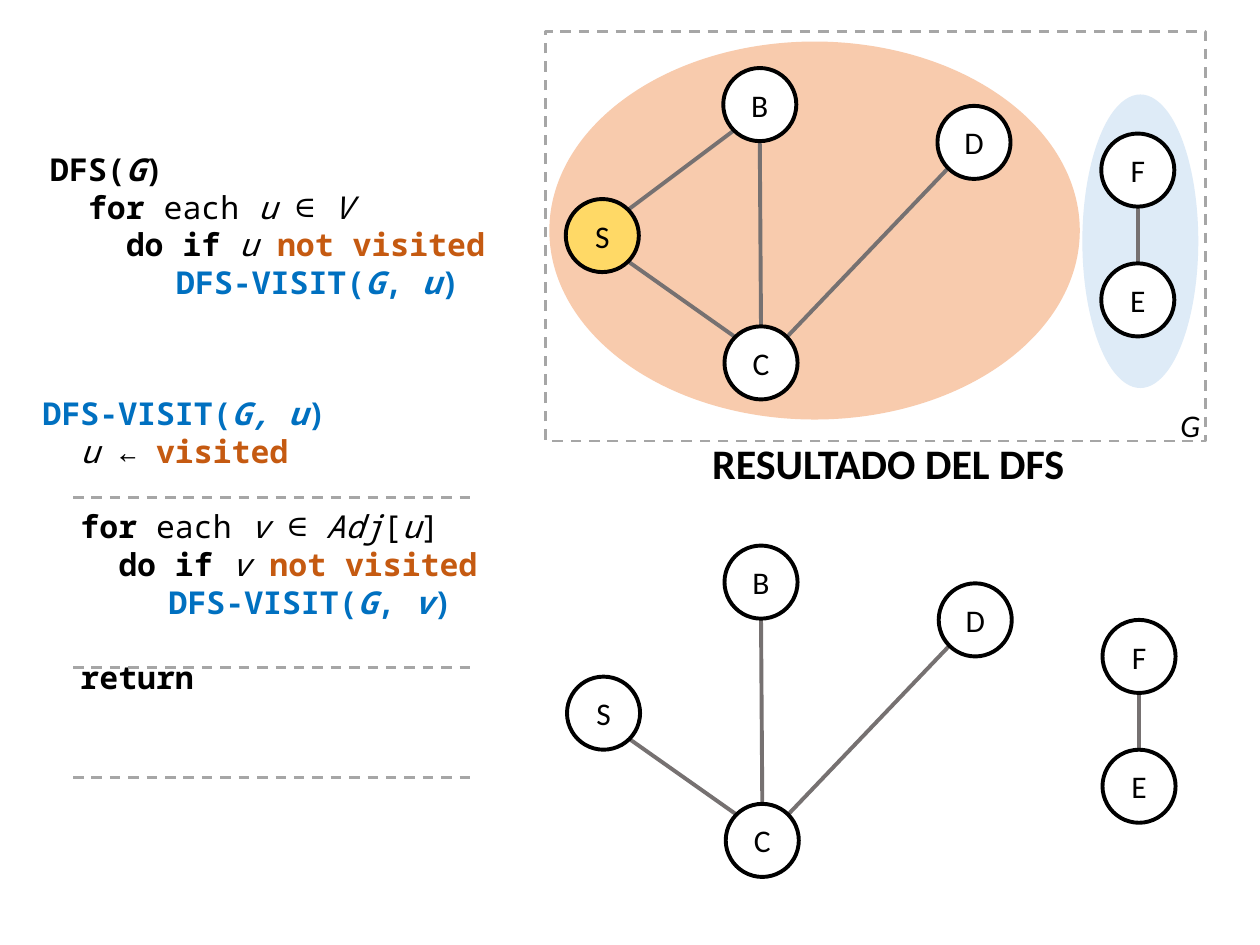
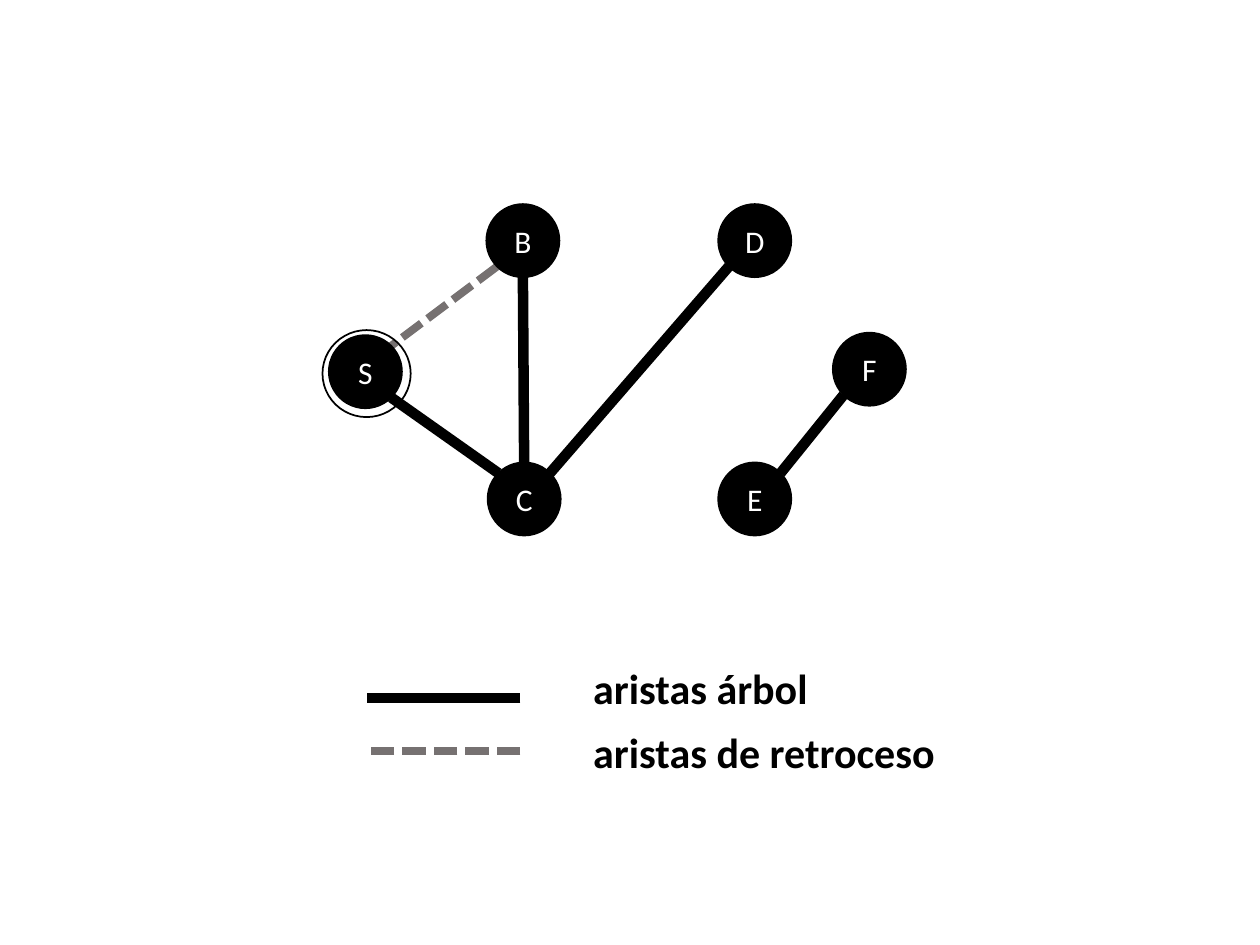
import math
from dataclasses import dataclass

from pptx import Presentation
from pptx.dml.color import RGBColor
from pptx.enum import dml, shapes, text
from pptx.oxml import ns, xmlchemy
from pptx.util import Inches, Pt


@dataclass(frozen=True)
class Theme:
    font: str = "Calibri"
    mono: str = "Noto Sans Mono"
    black: str = "000000"
    white: str = "FFFFFF"
    edge: str = "767171"
    frame: str = "A6A6A6"
    call: str = "0070C0"
    state: str = "C55A11"
    start: str = "FFD966"
    peach: str = "F8CBAD"
    sky: str = "DEEBF7"
    body: int = 18
    head: int = 24
    node: float = 0.58


T = Theme()
DASH = dml.MSO_LINE.DASH
SHORT = dml.MSO_LINE.SQUARE_DOT
OVAL = shapes.MSO_SHAPE.OVAL

# Node centres, relative to the corner of each part of the graph
MAIN = {"S": (0, 1.04), "B": (1.25, 0), "C": (1.26, 2.05), "D": (2.95, 0.3)}
PAIR = {"F": (0, 0), "E": (0, 1.03)}
TREE = ["BC", "CS", "DC"]

# Pseudocode lines: indent in inches, space before in points, then runs.
# Run styles: b bold, i italic, c call colour, s state colour
MAIN_CODE = [
    (0, 0, [("DFS(", "b"), ("G", "bi"), (")", "b")]),
    (0.3, 0, [("for ", "b"), ("each ", ""), ("u ", "i"), ("∈ ", ""), ("V", "i")]),
    (0.6, 0, [("do if ", "b"), ("u ", "i"), ("not visited", "bs")]),
    (1, 0, [("DFS-VISIT(", "bc"), ("G", "bic"), (", ", "bc"), ("u", "bic"), (")", "bc")]),
]
VISIT_CODE = [
    (0, 0, [("DFS-VISIT(", "bc"), ("G, u", "bic"), (")", "bc")]),
    (0.3, 0, [("u ", "i"), ("← ", ""), ("visited", "bs")]),
    (0.3, 21.5, [("for ", "b"), ("each ", ""), ("v ", "i"), ("∈ ", ""),
                 ("Adj", "i"), ("[", ""), ("u", "i"), ("]", "")]),
    (0.6, 0, [("do if ", "b"), ("v ", "i"), ("not visited", "bs")]),
    (1, 0, [("DFS-VISIT(", "bc"), ("G", "bic"), (", ", "bc"), ("v", "bic"), (")", "bc")]),
    (0.3, 21.5, [("return", "b")]),
]


def style(run, size, color=T.black, font=T.font, bold=False, italic=False):
    face = run.font
    face.name, face.size = font, Pt(size)
    face.bold, face.italic = bold, italic
    face.color.rgb = RGBColor.from_string(color)


def stroke(line, color, width, dash=None):
    line.color.rgb = RGBColor.from_string(color)
    line.width = Pt(width)
    if dash:
        line.dash_style = dash


def link(slide, start, end, color, width, dash=None):
    line = slide.shapes.add_connector(
        shapes.MSO_CONNECTOR.STRAIGHT, *map(Inches, (*start, *end)))
    stroke(line.line, color, width, dash)
    line._element.spPr.append(xmlchemy.OxmlElement("a:effectLst"))


def draw(slide, kind, box, fill=None, line=None):
    shape = slide.shapes.add_shape(kind, *map(Inches, box))
    shape.shadow.inherit = False
    if fill:
        shape.fill.solid()
        shape.fill.fore_color.rgb = RGBColor.from_string(fill)
    else:
        shape.fill.background()
    if line:
        stroke(shape.line, *line)
    else:
        shape.line.fill.background()
    return shape


def label(slide, box, words, size, **look):
    frame = slide.shapes.add_textbox(*map(Inches, box)).text_frame
    frame.word_wrap = True
    frame.text = words
    style(frame.paragraphs[0].runs[0], size, **look)


def code(slide, box, lines):
    frame = slide.shapes.add_textbox(*map(Inches, box)).text_frame
    frame.word_wrap = True
    for n, (indent, gap, runs) in enumerate(lines):
        para = frame.add_paragraph() if n else frame.paragraphs[0]
        para.space_before = Pt(gap)
        para._p.get_or_add_pPr().set("marL", str(Inches(indent)))
        for words, marks in runs:
            run = para.add_run()
            run.text = words
            color = T.call if "c" in marks else T.state if "s" in marks else T.black
            style(run, T.body, color, T.mono, "b" in marks, "i" in marks)


def rim(here, there):
    """Point on the node's rim, at the eighth of a turn nearest the other node."""
    step = math.pi / 4
    turn = round(math.atan2(there[1] - here[1], there[0] - here[0]) / step) * step
    return (here[0] + T.node / 2 * math.cos(turn),
            here[1] + T.node / 2 * math.sin(turn))


def graph(slide, left, top, nodes, edges, dark=False, back=(), start=None):
    spots = {name: (left + x, top + y) for name, (x, y) in nodes.items()}
    # Edges
    plain = (T.black, 6) if dark else (T.edge, 2.25)
    for a, b in [*edges, *back]:
        look = (T.edge, 4.5, SHORT) if a + b in back else plain
        link(slide, rim(spots[a], spots[b]), rim(spots[b], spots[a]), *look)
    # Nodes
    for name, (x, y) in spots.items():
        fill = T.black if dark else T.start if name == start else T.white
        box = (x - T.node / 2, y - T.node / 2, T.node, T.node)
        node = draw(slide, OVAL, box, fill, (T.black, 1 if dark else 2.25))
        frame = node.text_frame
        frame.text = name
        frame.vertical_anchor = text.MSO_ANCHOR.MIDDLE
        frame.paragraphs[0].alignment = text.PP_ALIGN.CENTER
        style(frame.paragraphs[0].runs[0], T.body, T.white if dark else T.black)


def title(slide, box, words):
    head = slide.shapes.title
    head.left, head.top, head.width, head.height = map(Inches, box)
    frame = head.text_frame
    frame.text = words
    frame.vertical_anchor = text.MSO_ANCHOR.TOP
    frame.paragraphs[0].alignment = text.PP_ALIGN.CENTER
    style(frame.paragraphs[0].runs[0], T.head, bold=True)


def listing(slide, left, top):
    code(slide, (left + 0.06, top, 5.62, 1.31), MAIN_CODE)
    code(slide, (left, top + 1.94, 5.62, 3.13), VISIT_CODE)
    for drop in (2.81, 4.16, 5.03):
        link(slide, (left + 0.34, top + drop), (left + 3.51, top + drop),
             T.frame, 1.5, DASH)


def source(slide, left, top):
    # Connected parts and the frame around them
    draw(slide, OVAL, (left + 4.26, top + 0.5, 0.92, 2.33), T.sky)
    draw(slide, OVAL, (left + 0.03, top + 0.08, 4.21, 3), T.peach)
    draw(slide, shapes.MSO_SHAPE.RECTANGLE, (left, top, 5.24, 3.25),
         line=(T.frame, 1.5, DASH))
    label(slide, (left + 4.94, top + 2.92, 0.33, 0.4), "G", T.body, italic=True)
    graph(slide, left + 0.45, top + 0.58, MAIN, ["BS", *TREE], start="S")
    graph(slide, left + 4.7, top + 1.1, PAIR, ["FE"])


def result(slide, left, top):
    graph(slide, left, top, MAIN, TREE)
    graph(slide, left + 4.25, top + 0.59, PAIR, ["FE"])


def forest(slide, left, top):
    graph(slide, left, top, MAIN | {"D": (3.09, 0)}, TREE, dark=True, back=["BS"])
    graph(slide, left + 4, top + 1.02, PAIR | {"E": (-0.91, 1.03)}, ["FE"], dark=True)
    # Ring around the start node
    draw(slide, OVAL, (left - 0.34, top + 0.71, 0.7, 0.69), line=(T.black, 1))


def legend(slide, left, top):
    rows = [("aristas árbol", 0, 0.33, (T.black, 6)),
            ("aristas de retroceso", 0.51, 0.75, (T.edge, 4.5, SHORT))]
    for words, drop, mid, look in rows:
        link(slide, (left + 1.22, top + mid), (left, top + mid), *look)
        label(slide, (left + 1.7, top + drop, 3.5, 0.5), words, T.head, bold=True)


def main():
    deck = Presentation()
    deck.slide_width, deck.slide_height = Inches(10), Inches(7.5)

    # Algorithm and its result
    slide = deck.slides.add_slide(deck.slide_layouts[5])
    title(slide, (4.77, 3.42, 4.56, 0.5), "RESULTADO DEL DFS")
    listing(slide, 0.24, 1.14)
    source(slide, 4.33, 0.25)
    result(slide, 4.79, 4.62)

    # Kinds of edges
    slide = deck.slides.add_slide(deck.slide_layouts[6])
    forest(slide, 2.9, 1.91)
    legend(slide, 2.91, 5.21)

    deck.save("out.pptx")


if __name__ == "__main__":
    main()
